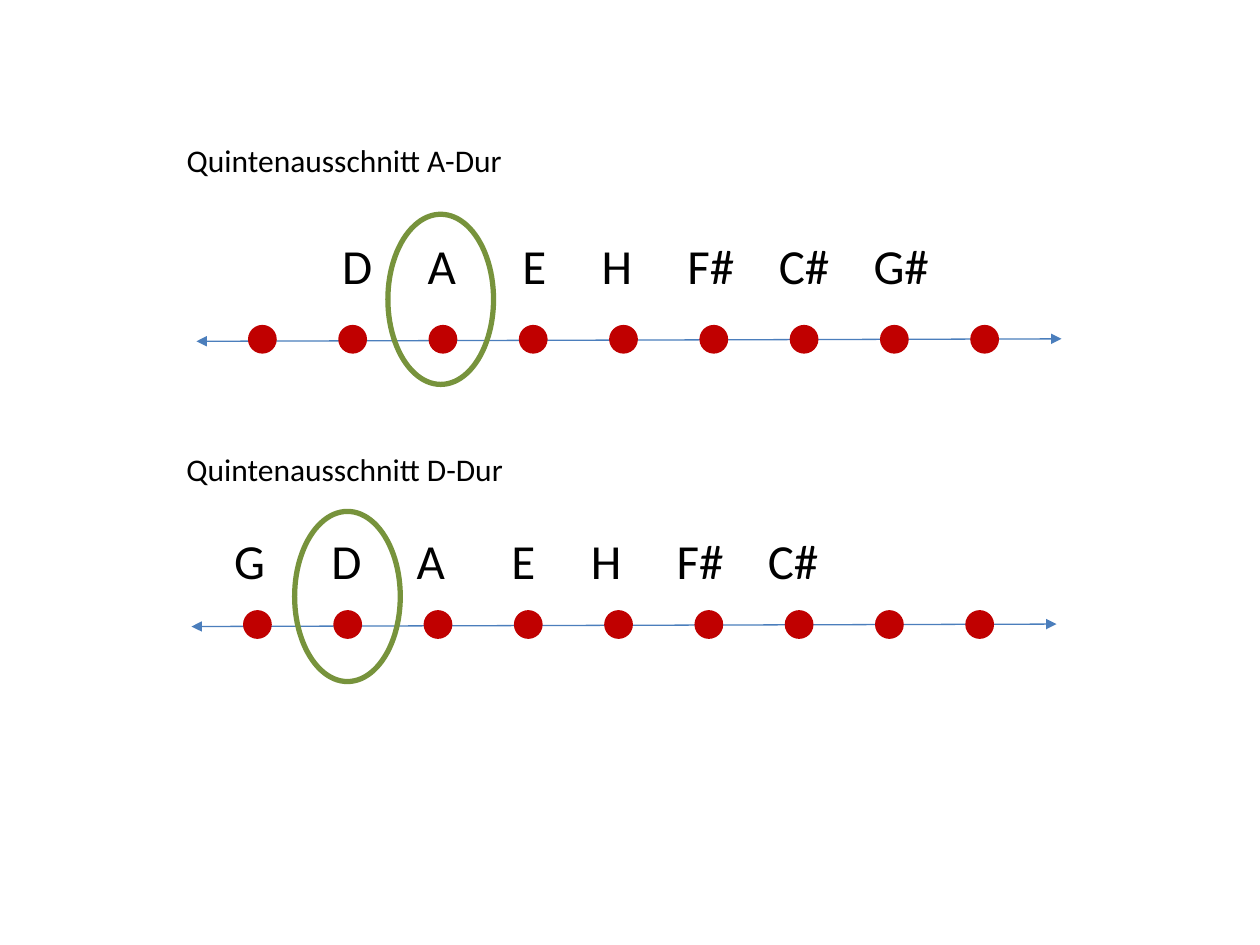
from itertools import accumulate
from lxml.etree import SubElement as Sub
from pptx import Presentation
from pptx.dml.color import RGBColor as RGB
from pptx.enum.shapes import MSO_CONNECTOR as LINK, MSO_SHAPE as SHAPE
from pptx.enum.text import MSO_ANCHOR as ANCHOR, MSO_AUTO_SIZE as FIT, PP_ALIGN as ALIGN
from pptx.oxml.ns import qn
from pptx.util import Cm, Pt

BLACK = RGB(0x00, 0x00, 0x00)
RED = RGB(0xC0, 0x00, 0x00)
BLUE = RGB(0x4B, 0x7E, 0xBC)
GREEN = RGB(0x77, 0x93, 0x3C)

STEPS = {"G": 1.96, "D": 1.72, "A": 1.91, "E": 1.6, "H": 1.73,
         "F#": 1.84, "C#": 1.91, "G#": 1.96}
DOTS = 9
PITCH = 1.82
SIZE = 0.58


def place(shape, left, top, width, height):
    shape.left, shape.top = Cm(left), Cm(top)
    shape.width, shape.height = Cm(width), Cm(height)


def write(box, text, size):
    frame = box.text_frame
    frame.word_wrap = True
    frame.auto_size = FIT.NONE
    frame.vertical_anchor = ANCHOR.TOP
    frame.text = text
    para = frame.paragraphs[0]
    para.alignment = ALIGN.LEFT
    para.font.name = "Calibri"
    para.font.size = Pt(size)
    para.font.color.rgb = BLACK
    return para


def add_head(box, text, top):
    place(box, 3.51, top, 7.44, 1.02)
    write(box, text, 18)


def add_box(slide):
    return slide.shapes.add_textbox(0, 0, Cm(1), Cm(1))


def add_notes(slide, notes, left, top):
    box = add_box(slide)
    place(box, left, top, 13.97, 1.45)
    para = write(box, "\t".join(notes), 28)
    props = para._p.get_or_add_pPr()
    tabs = Sub(props, qn("a:tabLst"))
    props.insert(0, tabs)
    for stop in accumulate(STEPS[note] for note in notes[:-1]):
        Sub(tabs, qn("a:tab"), pos=str(Cm(stop)), algn="l")


def add_axis(slide, left, top):
    axis = slide.shapes.add_connector(
        LINK.STRAIGHT, Cm(left - 1.04), Cm(top + 0.33), Cm(left + 16.4), Cm(top + 0.28))
    axis.line.color.rgb = BLUE
    axis.line.width = Pt(0.75)
    props = axis._element.spPr
    for end in ("a:headEnd", "a:tailEnd"):
        Sub(props.find(qn("a:ln")), qn(end), type="triangle")
    Sub(props, qn("a:effectLst"))


def add_oval(slide, left, top, width, height):
    oval = slide.shapes.add_shape(SHAPE.OVAL, Cm(left), Cm(top), Cm(width), Cm(height))
    oval.shadow.inherit = False
    return oval


def add_dot(slide, left, top):
    dot = add_oval(slide, left, top, SIZE, SIZE)
    dot.fill.solid()
    dot.fill.fore_color.rgb = RED
    dot.line.fill.background()


def add_ring(slide, left, top):
    ring = add_oval(slide, left, top, 2.13, 3.43)
    ring.fill.background()
    ring.line.color.rgb = GREEN
    ring.line.width = Pt(3)


def add_row(slide, notes, text, dots, ring):
    left, top = dots
    add_notes(slide, notes, *text)
    add_axis(slide, left, top)
    for index in range(DOTS):
        add_dot(slide, left + index * PITCH, top)
    add_ring(slide, *ring)


def main():
    deck = Presentation()
    deck.slide_width, deck.slide_height = Cm(25.4), Cm(19.05)
    slide = deck.slides.add_slide(deck.slide_layouts[5])
    add_head(slide.shapes.title, "Quintenausschnitt A-Dur", 2.72)
    add_head(add_box(slide), "Quintenausschnitt D-Dur", 8.94)
    notes = list(STEPS)
    add_row(slide, notes[1:], (6.65, 4.62), (5.0, 6.55), (7.82, 4.32))
    add_row(slide, notes[:-1], (4.47, 10.57), (4.9, 12.3), (5.94, 10.31))
    deck.save("out.pptx")


main()
